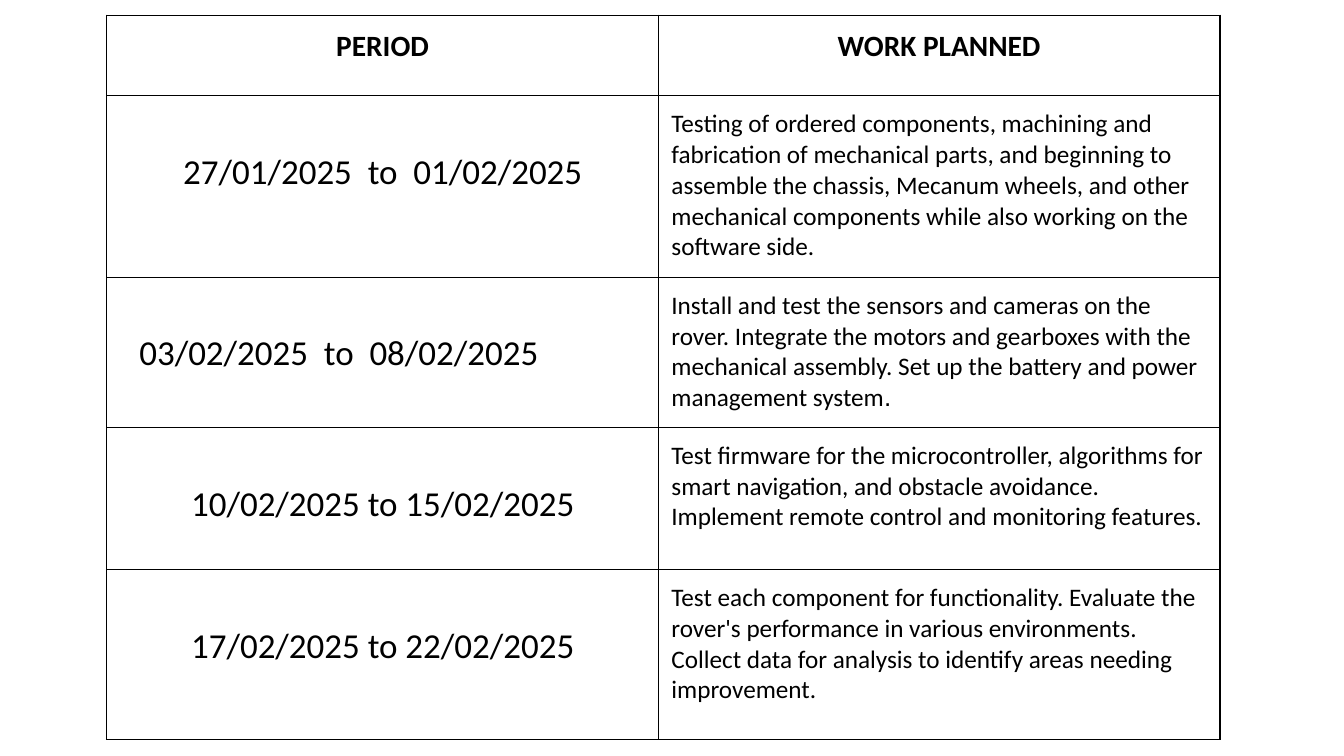
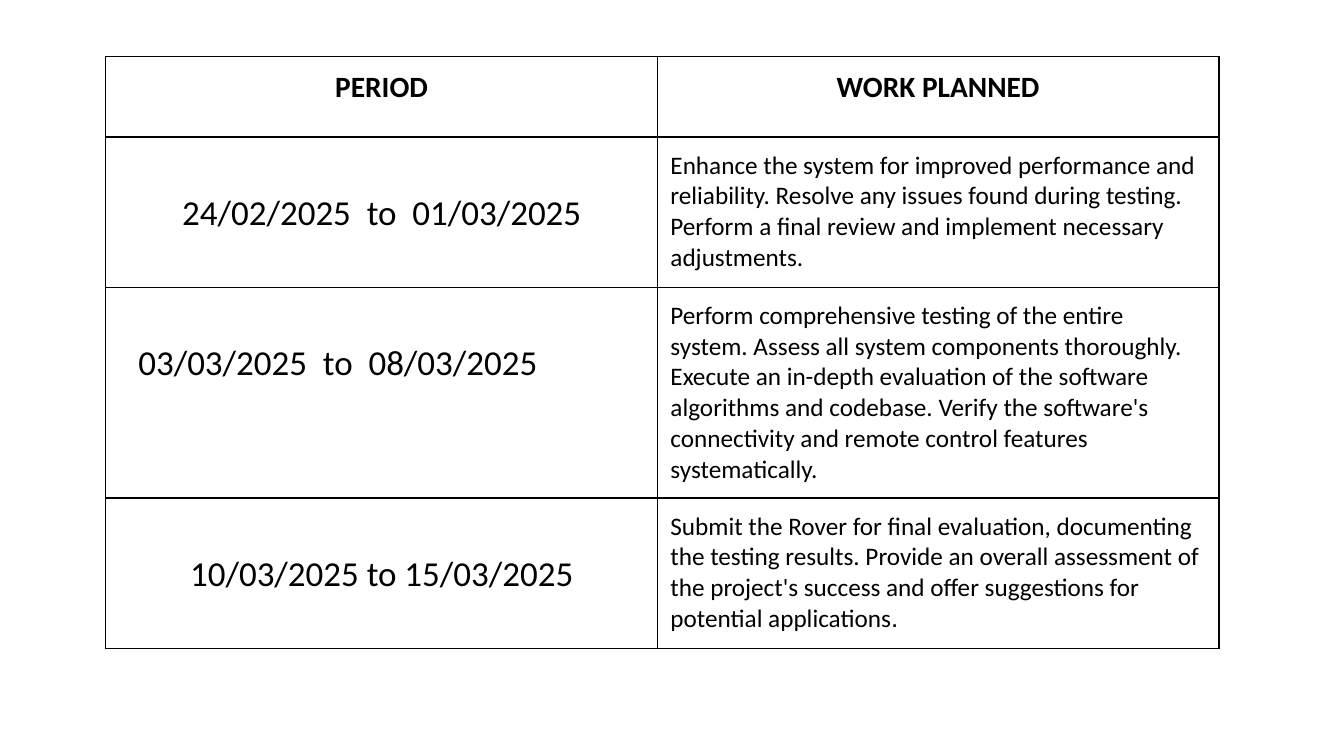
from dataclasses import dataclass

from lxml import etree
from pptx import Presentation
from pptx.dml.color import RGBColor
from pptx.enum.text import PP_ALIGN
from pptx.oxml.ns import qn
from pptx.util import Inches, Pt

LEFT, CENTER = PP_ALIGN.LEFT, PP_ALIGN.CENTER
BLANK = 6


@dataclass(frozen=True)
class Theme:
    ink: str = "000000"
    font: str = "Calibri"
    stop_font: str = "Arial"
    head: float = 21
    date: float = 25
    body: float = 18
    stop: float = 18.6
    rule: float = 1
    inset: float = 0.13
    drop: float = 0.55
    shift: float = 1
    cols: tuple = (5.47, 5.57)
    head_row: float = 0.8


@dataclass(frozen=True)
class Week:
    """One row; shifted moves the dates left, stop adds a closing Arial dot."""
    dates: str
    work: str
    height: float
    shifted: bool = False
    stop: bool = False


THEME = Theme()
HEADS = ("PERIOD", "WORK PLANNED")
PLANS = (
    (1.06, 0.15, (
        Week("27/01/2025  to  01/02/2025",
             "Testing of ordered components, machining and fabrication of "
             "mechanical parts, and beginning to assemble the chassis, Mecanum "
             "wheels, and other mechanical components while also working on "
             "the software side.", 1.8),
        Week("03/02/2025  to  08/02/2025",
             "Install and test the sensors and cameras on the rover. Integrate "
             "the motors and gearboxes with the mechanical assembly. Set up "
             "the battery and power management system", 1.49,
             shifted=True, stop=True),
        Week("10/02/2025 to 15/02/2025",
             "Test firmware for the microcontroller, algorithms for smart "
             "navigation, and obstacle avoidance. Implement remote control "
             "and monitoring features.", 1.41),
        Week("17/02/2025 to 22/02/2025",
             "Test each component for functionality. Evaluate the rover's "
             "performance in various environments. Collect data for analysis "
             "to identify areas needing improvement.", 1.69),
    )),
    (1.05, 0.56, (
        Week("24/02/2025  to  01/03/2025",
             "Enhance the system for improved performance and reliability. "
             "Resolve any issues found during testing. Perform a final review "
             "and implement necessary adjustments.", 1.49),
        Week("03/03/2025  to  08/03/2025",
             "Perform comprehensive testing of the entire system. Assess all "
             "system components thoroughly. Execute an in-depth evaluation of "
             "the software algorithms and codebase. Verify the software's "
             "connectivity and remote control features systematically.", 2.09,
             shifted=True),
        Week("10/03/2025 to 15/03/2025",
             "Submit the Rover for final evaluation, documenting the testing "
             "results. Provide an overall assessment of the project's success "
             "and offer suggestions for potential applications", 1.49,
             stop=True),
    )),
)


def write(para, text, size, font=THEME.font, bold=False, align=LEFT):
    """Append a formatted run to a paragraph."""
    para.alignment = align
    run = para.add_run()
    run.text = text
    run.font.name = font
    run.font.size = Pt(size)
    run.font.bold = bold
    run.font.color.rgb = RGBColor.from_string(THEME.ink)


class Deck:
    def __init__(self, theme):
        self.theme = theme
        self.prs = Presentation()
        self.prs.slide_width = Inches(13.33)
        self.prs.slide_height = Inches(7.5)
        self.slide = None

    def add_slide(self):
        layout = self.prs.slide_layouts[BLANK]
        self.slide = self.prs.slides.add_slide(layout)

    def frame(self, cell):
        """Draw four borders, clear the fill and set the insets."""
        props = cell._tc.get_or_add_tcPr()
        for side in ("a:lnL", "a:lnR", "a:lnT", "a:lnB"):
            line = etree.SubElement(props, qn(side), w=str(Pt(self.theme.rule)))
            fill = etree.SubElement(line, qn("a:solidFill"))
            etree.SubElement(fill, qn("a:srgbClr"), val=self.theme.ink)
        cell.fill.background()
        cell.margin_left = cell.margin_right = Inches(self.theme.inset)
        cell.margin_top = cell.margin_bottom = Inches(self.theme.inset)

    def date(self, cell, week):
        cell.margin_top = Inches(self.theme.drop)
        if week.shifted:
            cell.margin_right = Inches(self.theme.shift)
        para = cell.text_frame.paragraphs[0]
        write(para, week.dates, self.theme.date, align=CENTER)

    def work(self, cell, week):
        para = cell.text_frame.paragraphs[0]
        write(para, week.work, self.theme.body)
        if week.stop:
            write(para, ".", self.theme.stop, font=self.theme.stop_font)

    def plan(self, left, top, weeks):
        theme = self.theme
        heights = [theme.head_row] + [week.height for week in weeks]
        table = self.slide.shapes.add_table(
            len(heights), len(theme.cols), Inches(left), Inches(top),
            Inches(sum(theme.cols)), Inches(sum(heights))).table
        table.first_row = table.horz_banding = False
        for col, width in zip(table.columns, theme.cols):
            col.width = Inches(width)
        for row, height in zip(table.rows, heights):
            row.height = Inches(height)
        for cell in table.iter_cells():
            self.frame(cell)
        for cell, head in zip(table.rows[0].cells, HEADS):
            write(cell.text_frame.paragraphs[0], head, theme.head,
                  bold=True, align=CENTER)
        for num, week in enumerate(weeks, 1):
            self.date(table.cell(num, 0), week)
            self.work(table.cell(num, 1), week)


def main():
    deck = Deck(THEME)
    for left, top, weeks in PLANS:
        deck.add_slide()
        deck.plan(left, top, weeks)
    deck.prs.save("out.pptx")


if __name__ == "__main__":
    main()
